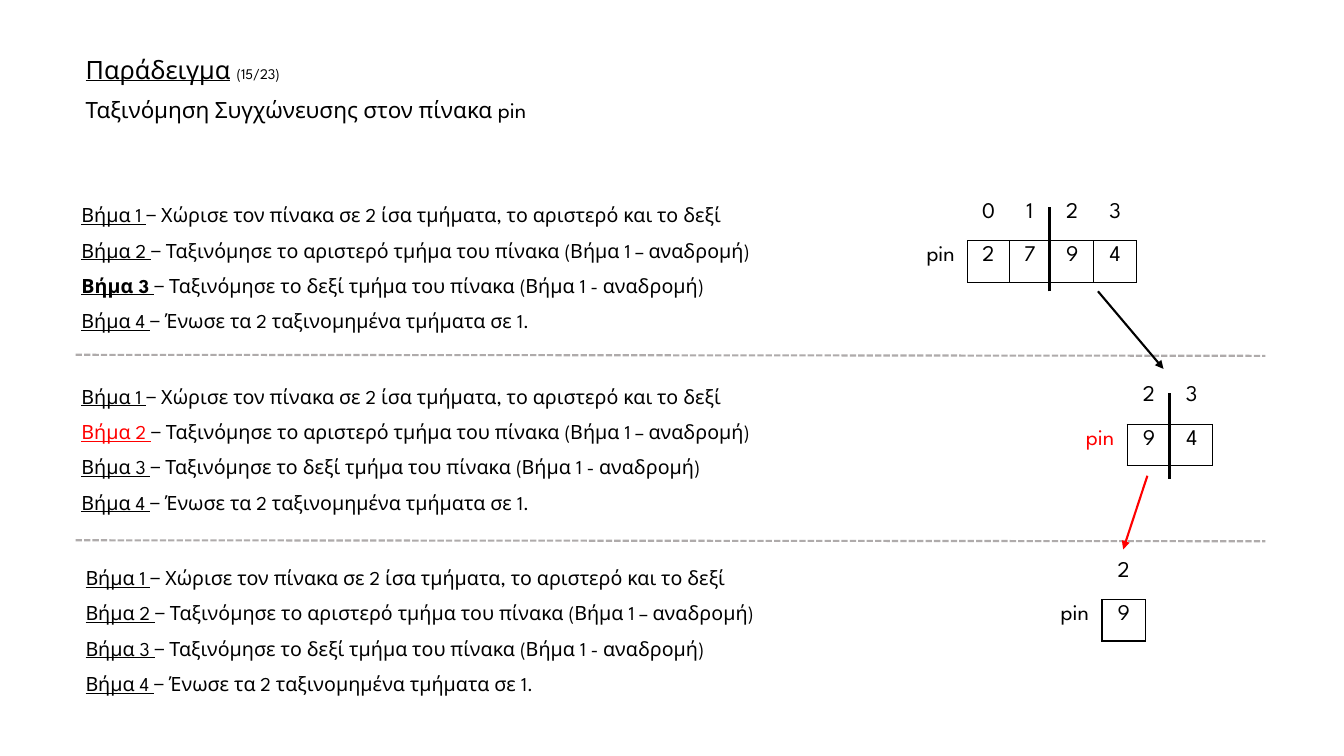
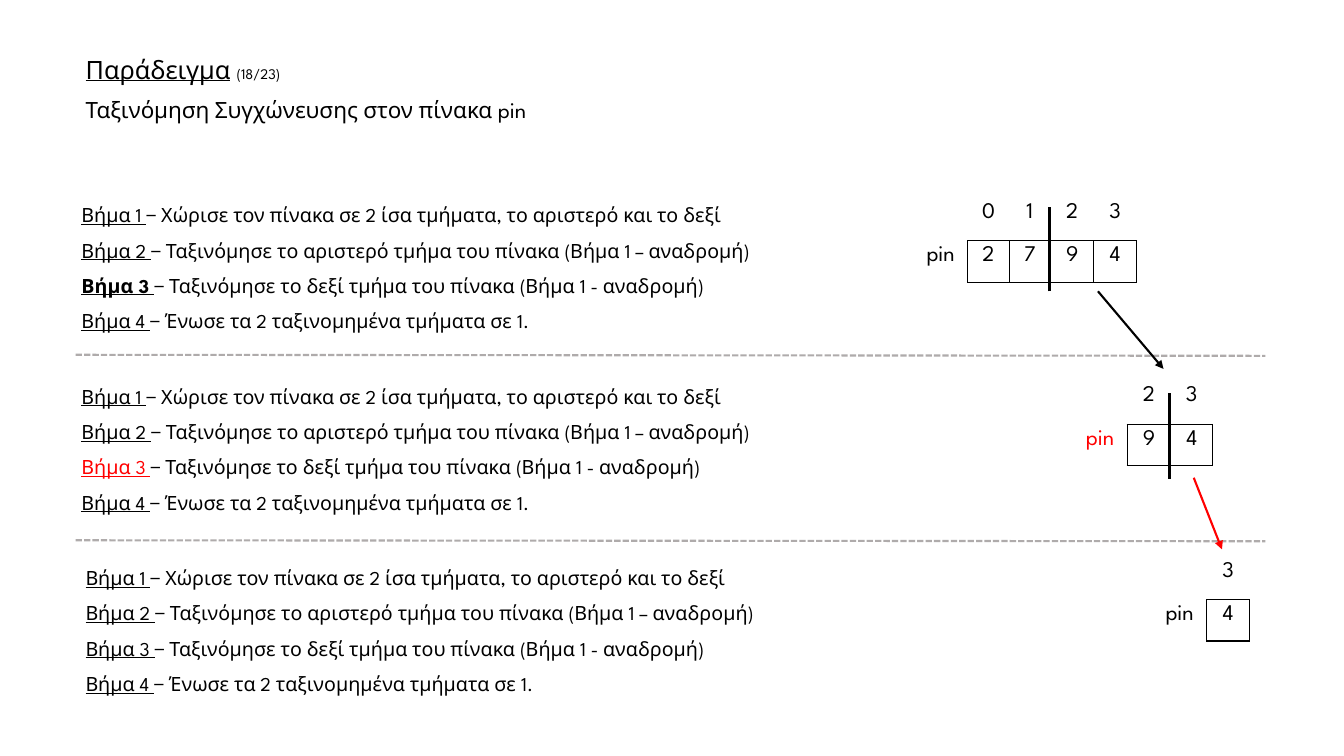
"""Build two slides that trace a merge sort on the array pin."""
from lxml.etree import SubElement
from pptx import Presentation
from pptx.dml.color import RGBColor
from pptx.enum.dml import MSO_LINE
from pptx.enum.shapes import MSO_CONNECTOR
from pptx.enum.text import MSO_ANCHOR as Anchor, MSO_AUTO_SIZE as AutoSize, PP_ALIGN as Align
from pptx.oxml import parse_xml
from pptx.oxml.ns import nsdecls, qn
from pptx.util import Pt

PX = 9144
FONT = "League Spartan"
COLORS = {"text": "000000", "active": "FF0000", "divider": "AFABAB"}

HEADING = "Παράδειγμα"
SUBTITLE = "Ταξινόμηση Συγχώνευσης στον πίνακα pin"
STEPS = [
    ("Βήμα 1 ", "− Χώρισε τον πίνακα σε 2 ίσα τμήματα, το αριστερό και το δεξί"),
    ("Βήμα 2 ", "− Ταξινόμησε το αριστερό τμήμα του πίνακα (Βήμα 1 – αναδρομή)"),
    ("Βήμα 3 ", "− Ταξινόμησε το δεξί τμήμα του πίνακα (Βήμα 1 - αναδρομή)"),
    ("Βήμα 4 ", "− Ένωσε τα 2 ταξινομημένα τμήματα σε 1."),
]
STEP_BOXES = [(71, 185), (71, 365), (75, 545)]
STEP_SIZE = (703, 147)
DIVIDERS = [(75, 352, 1255, 353), (75, 536, 1255, 537)]
SPLITS = [(1041, 289, 1041, 205), (1160, 475, 1160, 390)]
FIRST_ARROW = (1089, 289, 1154, 366)
LABEL_WIDTH = 54
ROW_HEIGHTS = (43, 41)

FULL_ARRAY = dict(left=906, top=196, widths=[41, 41, 43, 42], indices="0123", values="2794")
RIGHT_HALF = dict(left=1064, top=378, widths=[43, 42], indices="23", values="94", label_color="active")
SLIDES = [
    dict(page="(15/23)", active_step=1, arrow=(1138, 472, 1114, 545),
         leaf=dict(left=1039, top=552, widths=[43], indices="2", values="9")),
    dict(page="(18/23)", active_step=2, arrow=(1184, 474, 1212, 545),
         leaf=dict(left=1143, top=552, widths=[42], indices="3", values="4")),
]


def px(*lengths):
    return [length * PX for length in lengths]


def add_run(paragraph, text, size, color="text", underline=False, bold=False):
    run = paragraph.add_run()
    run.text = text
    font = run.font
    font.name, font.size, font.bold, font.underline = FONT, Pt(size), bold, underline
    font.color.rgb = RGBColor.from_string(COLORS[color])


def add_title(slide, page):
    title = slide.shapes.title
    title.left, title.top, title.width, title.height = px(75, 52, 1079, 77)
    frame = title.text_frame
    frame.word_wrap, frame.auto_size = True, AutoSize.NONE
    frame.vertical_anchor = Anchor.TOP
    heading, subtitle = frame.paragraphs[0], frame.add_paragraph()
    for paragraph, space in ((heading, 0), (subtitle, 10)):
        paragraph.alignment = Align.LEFT
        paragraph.line_spacing = 0.9
        paragraph.space_before = Pt(space)
    add_run(heading, HEADING, 18, underline=True)
    add_run(heading, " ", 18)
    add_run(heading, page, 10.5)
    add_run(subtitle, SUBTITLE, 16)


def add_steps(slide, position, styles):
    frame = slide.shapes.add_textbox(*px(*position, *STEP_SIZE)).text_frame
    frame.word_wrap, frame.auto_size = True, AutoSize.SHAPE_TO_FIT_TEXT
    for index, (name, description) in enumerate(STEPS):
        paragraph = frame.add_paragraph() if index else frame.paragraphs[0]
        paragraph.line_spacing = 1.5
        add_run(paragraph, name, 14, underline=True, **styles.get(index, {}))
        add_run(paragraph, description, 14)


def set_borders(cell, visible):
    properties = cell._tc.get_or_add_tcPr()
    for position, side in enumerate("LRTB"):
        paint = (f'<a:solidFill><a:srgbClr val="{COLORS["text"]}"/></a:solidFill>'
                 if side in visible else "<a:noFill/>")
        border = parse_xml(f'<a:ln{side} {nsdecls("a")} w="12700">{paint}</a:ln{side}>')
        properties.insert(position, border)


def add_array(slide, left, top, widths, indices, values, label_color="text"):
    columns = [LABEL_WIDTH, *widths]
    frame = slide.shapes.add_table(2, len(columns), *px(left, top, sum(columns), sum(ROW_HEIGHTS)))
    table = frame.table
    table.first_row = table.horz_banding = False
    for column, width in zip(table.columns, columns):
        column.width = width * PX
    for row, height in zip(table.rows, ROW_HEIGHTS):
        row.height = height * PX
    for row, texts in enumerate((["", *indices], ["pin", *values])):
        for column, text in enumerate(texts):
            cell = table.cell(row, column)
            cell.fill.background()
            if column:
                set_borders(cell, "LRTB" if row else "B")
            else:
                set_borders(cell, "R" if row else "")
            paragraph = cell.text_frame.paragraphs[0]
            paragraph.alignment = Align.CENTER
            if text:
                add_run(paragraph, text, 16, "text" if column else label_color)


def add_line(slide, points, color="text", width=1.5, dash=None, arrow=False):
    connector = slide.shapes.add_connector(MSO_CONNECTOR.STRAIGHT, *px(*points))
    line = connector.line
    line.color.rgb = RGBColor.from_string(COLORS[color])
    line.width = Pt(width)
    if dash:
        line.dash_style = dash
    if arrow:
        SubElement(line._get_or_add_ln(), qn("a:tailEnd"), type="triangle")
    SubElement(connector._element.spPr, qn("a:effectLst"))


def build_slide(presentation, page, active_step, arrow, leaf):
    slide = presentation.slides.add_slide(presentation.slide_layouts[5])
    add_title(slide, page)
    for array in (FULL_ARRAY, RIGHT_HALF, leaf):
        add_array(slide, **array)
    step_styles = [{2: dict(bold=True)}, {active_step: dict(color="active")}, {}]
    for position, styles in zip(STEP_BOXES, step_styles):
        add_steps(slide, position, styles)
    for points in DIVIDERS:
        add_line(slide, points, "divider", dash=MSO_LINE.SQUARE_DOT)
    for points in SPLITS:
        add_line(slide, points, width=2.25)
    add_line(slide, FIRST_ARROW, arrow=True)
    add_line(slide, arrow, "active", arrow=True)


def main():
    presentation = Presentation()
    presentation.slide_width, presentation.slide_height = px(1333, 750)
    for content in SLIDES:
        build_slide(presentation, **content)
    presentation.save("out.pptx")


if __name__ == "__main__":
    main()
